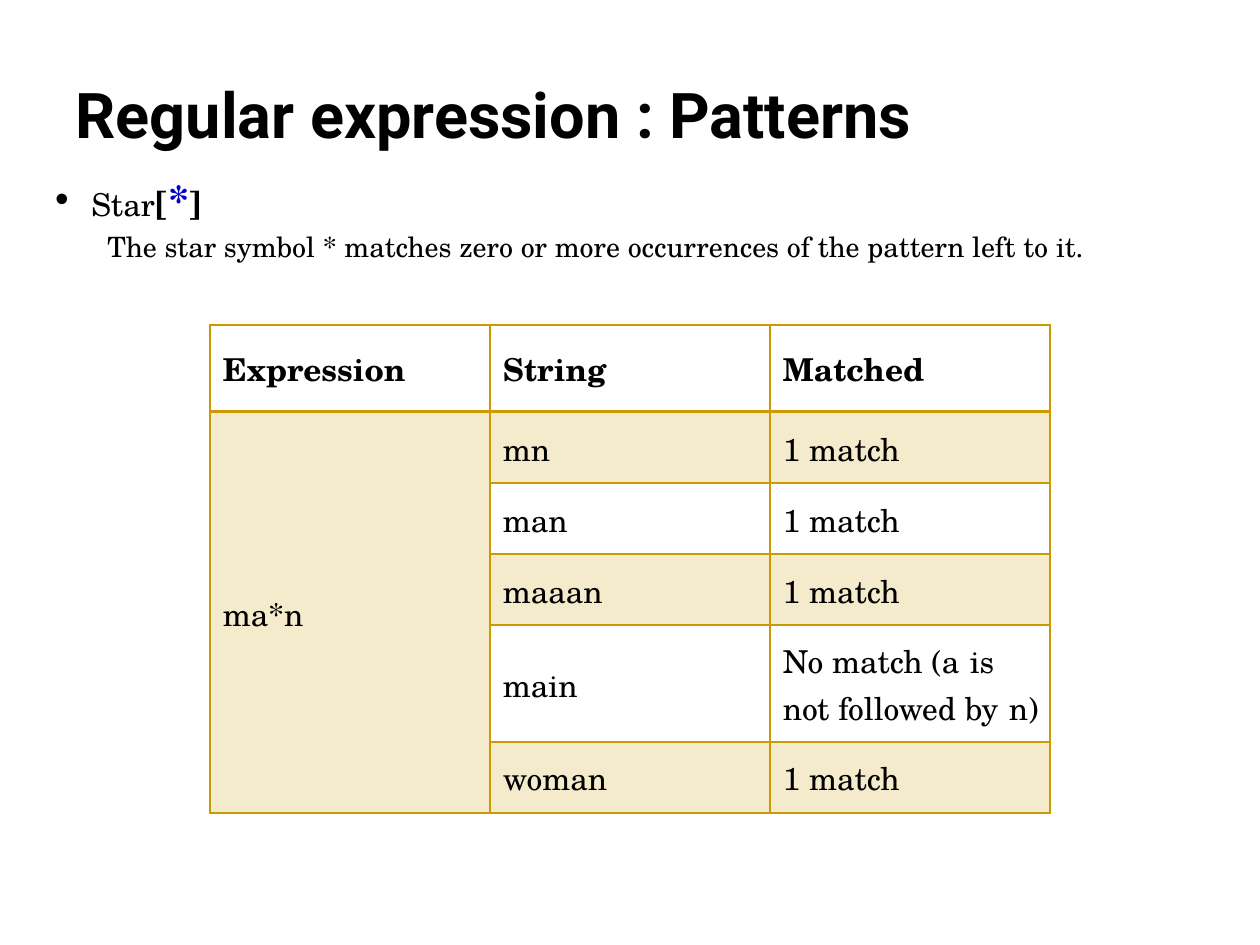
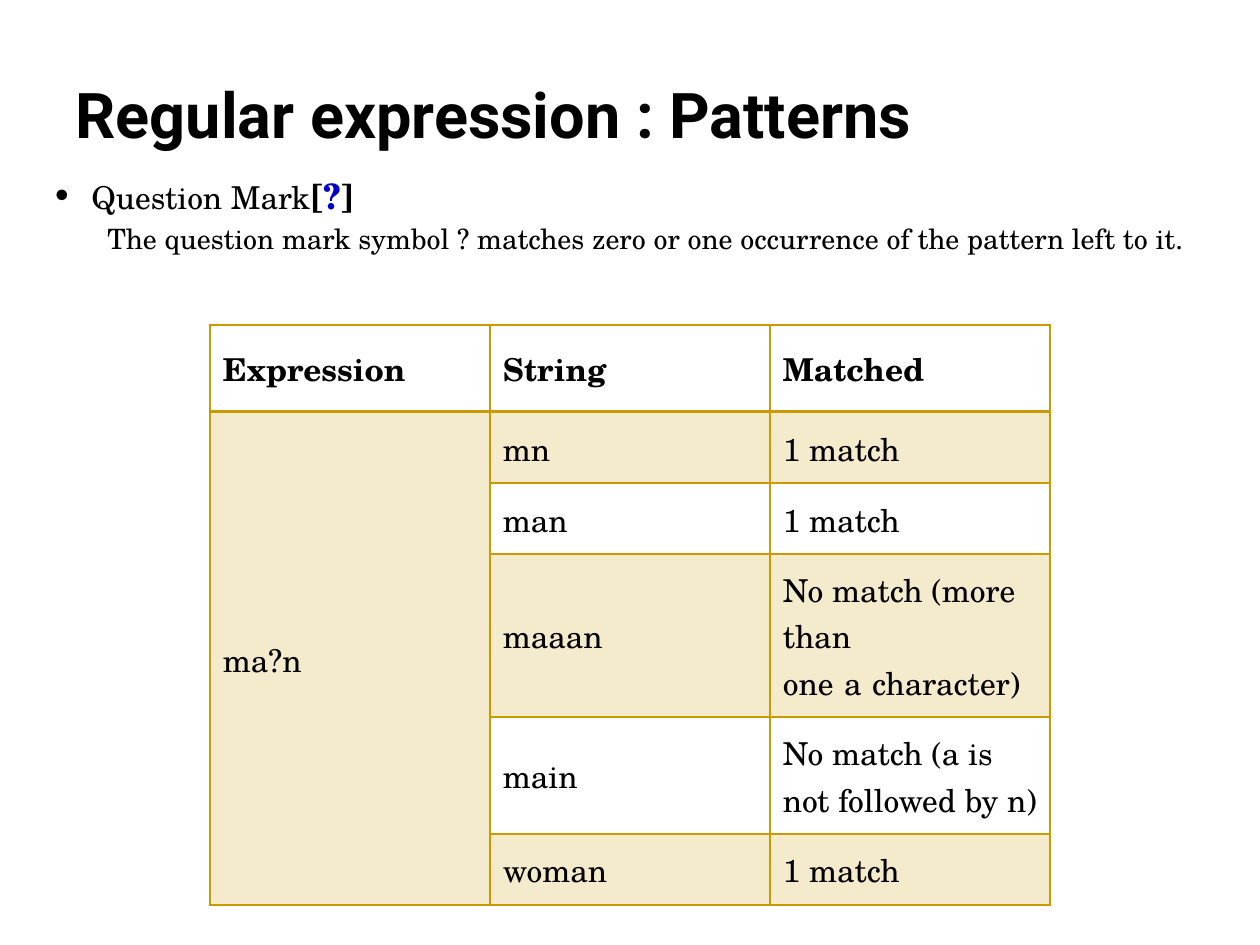
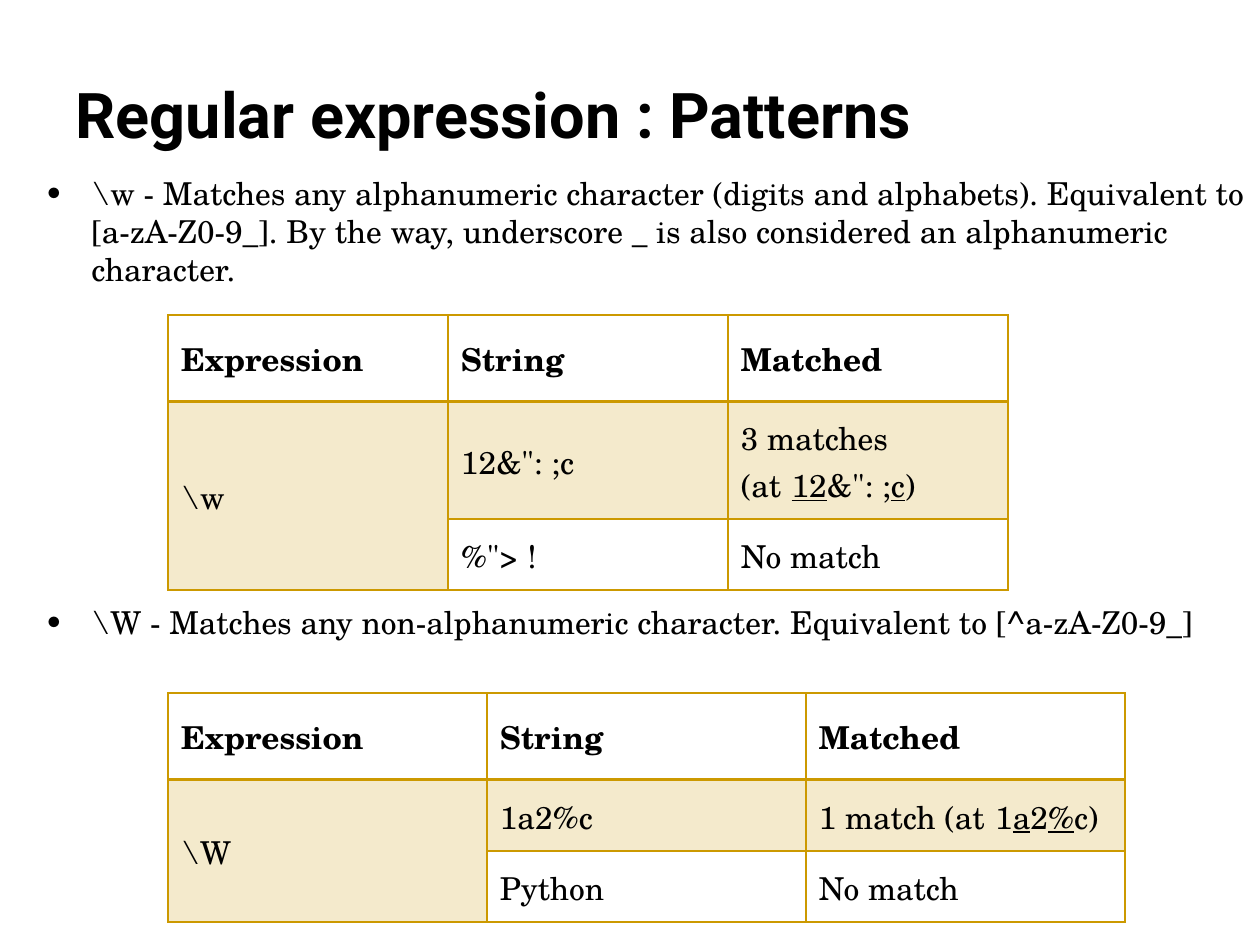
from lxml.etree import SubElement
from pptx import Presentation
from pptx.dml.color import RGBColor
from pptx.enum.text import MSO_ANCHOR as Anchor, MSO_AUTO_SIZE as AutoSize, PP_ALIGN as Align
from pptx.oxml.ns import qn
from pptx.util import Emu, Pt

BLACK = RGBColor(0x00, 0x00, 0x00)
BLUE = RGBColor(0x00, 0x00, 0xCC)
GOLD = RGBColor(0xCC, 0x99, 0x00)
TITLE_FONT, BODY_FONT = "Roboto", "TeX Gyre Schola"
TITLE = "Regular expression : Patterns"
HEADER = ("Expression", "String", "Matched")
TITLE_ONLY = 5
PX = 914400 // 126
HEADER_HEIGHT, ROW_HEIGHT, EXTRA_LINE = 87, 71, 46
BAND_OPACITY = 20

# Paragraphs: (kind, spans); span: (text, size, bold, colour)
# Rows: (string, matched, lines); "~" is a hard space, "_" switches underlining
SLIDES = [
    {"texts": [
        (168, [("symbol", [("Star", 18, False, BLACK), ("[", 20, True, BLACK),
                           ("*", 24, True, BLUE), ("]", 20, True, BLACK)]),
               ("detail", [("The star symbol * matches zero or more occurrences "
                            "of the pattern left to it.", 16, False, BLACK)])]),
     ],
     "tables": [
        (210, 325, 280, "ma*n", [
            ("mn", "1 match", 1),
            ("man", "1 match", 1),
            ("maaan", "1 match", 1),
            ("main", "No match (a~is not followed by~n)", 2),
            ("woman", "1 match", 1)]),
     ]},
    {"texts": [
        (168, [("symbol", [("Question Mark", 18, False, BLACK), ("[", 20, True, BLACK),
                           ("?", 20, True, BLUE), ("]", 20, True, BLACK)]),
               ("detail", [("The question mark symbol ? matches zero or one occurrence "
                            "of the pattern left to it.", 16, False, BLACK)])]),
     ],
     "tables": [
        (210, 325, 280, "ma?n", [
            ("mn", "1 match", 1),
            ("man", "1 match", 1),
            ("maaan", "No match (more than one~a~character)", 3),
            ("main", "No match (a is not followed by n)", 2),
            ("woman", "1 match", 1)]),
     ]},
    {"texts": [
        (168, [("class", [("\\w - Matches any alphanumeric character (digits and alphabets). "
                           "Equivalent to [a-zA-Z0-9_]. By the way, underscore _ is also "
                           "considered an alphanumeric character.", 18, False, BLACK)])]),
        (597, [("class", [("\\W - Matches any non-alphanumeric character. "
                           "Equivalent to [^a-zA-Z0-9_]", 18, False, BLACK)])]),
     ],
     "tables": [
        (168, 315, 280, "\\w", [
            ("12&\": ;c", "3 matches (at~_12_&\": ;_c_)", 2),
            ("%\"> !", "No match", 1)]),
        (168, 693, 319, "\\W", [
            ("1a2%c", "1 match (at~1_a_2_%_c)", 1),
            ("Python", "No match", 1)]),
     ]},
]

# kind: (left margin, first-line indent, has bullet)
INDENTS = {"symbol": (47, -39, True), "detail": (63, 0, False), "class": (47, -47, True)}


def px(length):
    return Emu(length * PX)


def add_colour(parent, colour):
    fill = SubElement(parent, qn("a:solidFill"))
    SubElement(fill, qn("a:srgbClr"), val=str(colour))


def set_font(font, name, size=None, bold=None):
    font.name = name
    font.color.rgb = BLACK
    if size:
        font.size = Pt(size)
    font.bold = bold


def set_indent(para, kind):
    margin, indent, has_bullet = INDENTS[kind]
    props = para._p.get_or_add_pPr()
    props.set("marL", str(px(margin)))
    props.set("indent", str(px(indent)))
    if has_bullet:
        colour = SubElement(props, qn("a:buClr"))
        SubElement(colour, qn("a:srgbClr"), val=str(BLACK))
        SubElement(props, qn("a:buFont"), typeface=BODY_FONT)
        SubElement(props, qn("a:buChar"), char="•")
    else:
        SubElement(props, qn("a:buNone"))


def format_title(title):
    title.left, title.top, title.width, title.height = map(px, (63, 10, 935, 147))
    frame = title.text_frame
    frame.text = TITLE
    frame.auto_size = AutoSize.NONE
    frame.vertical_anchor = Anchor.BOTTOM
    para = frame.paragraphs[0]
    para.alignment = Align.LEFT
    set_font(para.font, TITLE_FONT, 36, True)


def add_text(page, top, paragraphs):
    box = page.shapes.add_textbox(px(32), px(top), px(1228), px(100))
    frame = box.text_frame
    frame.word_wrap = True
    for index, (kind, spans) in enumerate(paragraphs):
        para = frame.add_paragraph() if index else frame.paragraphs[0]
        set_indent(para, kind)
        if index:
            para.space_before = Pt(3)
        set_font(para.font, BODY_FONT)
        for text, size, bold, colour in spans:
            span = para.add_run()
            span.text = text
            span.font.size = Pt(size)
            span.font.bold = bold
            span.font.color.rgb = colour


def add_borders(cell, top, bottom):
    for side, width in (("L", 1), ("R", 1), ("T", top), ("B", bottom)):
        line = SubElement(cell._tc.get_or_add_tcPr(), qn(f"a:ln{side}"), w=str(Pt(width)))
        add_colour(line, GOLD)


def fill_cell(cell, text, row):
    is_header = row == 0
    cell.vertical_anchor = Anchor.MIDDLE
    cell.margin_left, cell.margin_right = px(13), px(10)
    cell.margin_top, cell.margin_bottom = (px(20), px(19)) if is_header else (px(13), px(11))
    add_borders(cell, 2 if row == 1 else 1, 2 if is_header else 1)
    if row % 2:
        cell.fill.solid()
        cell.fill.fore_color.rgb = GOLD
        colour = cell._tc.tcPr.find(qn("a:solidFill"))[0]
        SubElement(colour, qn("a:alpha"), val=str(BAND_OPACITY * 1000))
    else:
        cell.fill.background()
    para = cell.text_frame.paragraphs[0]
    set_font(para.font, BODY_FONT, 18, is_header)
    for index, part in enumerate(text.replace("~", chr(160)).split("_")):
        span = para.add_run()
        span.text = part
        if index % 2:
            span.font.underline = True


def add_match_table(page, left, top, column_width, expression, rows):
    heights = [HEADER_HEIGHT] + [ROW_HEIGHT + EXTRA_LINE * (lines - 1) for *_, lines in rows]
    cells = [HEADER] + [(expression, string, matched) for string, matched, _ in rows]
    table = page.shapes.add_table(len(cells), len(HEADER), px(left), px(top),
                                  px(column_width * len(HEADER)), px(sum(heights))).table
    table.first_row = table.horz_banding = False
    for column in table.columns:
        column.width = px(column_width)
    table.cell(1, 0).merge(table.cell(len(rows), 0))
    for row, (height, texts) in enumerate(zip(heights, cells)):
        table.rows[row].height = px(height)
        for column, text in enumerate(texts):
            cell = table.cell(row, column)
            if not cell.is_spanned:
                fill_cell(cell, text, row)


def main():
    deck = Presentation()
    deck.slide_width, deck.slide_height = px(1260), px(945)
    for content in SLIDES:
        page = deck.slides.add_slide(deck.slide_layouts[TITLE_ONLY])
        format_title(page.shapes.title)
        for text in content["texts"]:
            add_text(page, *text)
        for table in content["tables"]:
            add_match_table(page, *table)
    deck.save("out.pptx")


if __name__ == "__main__":
    main()
